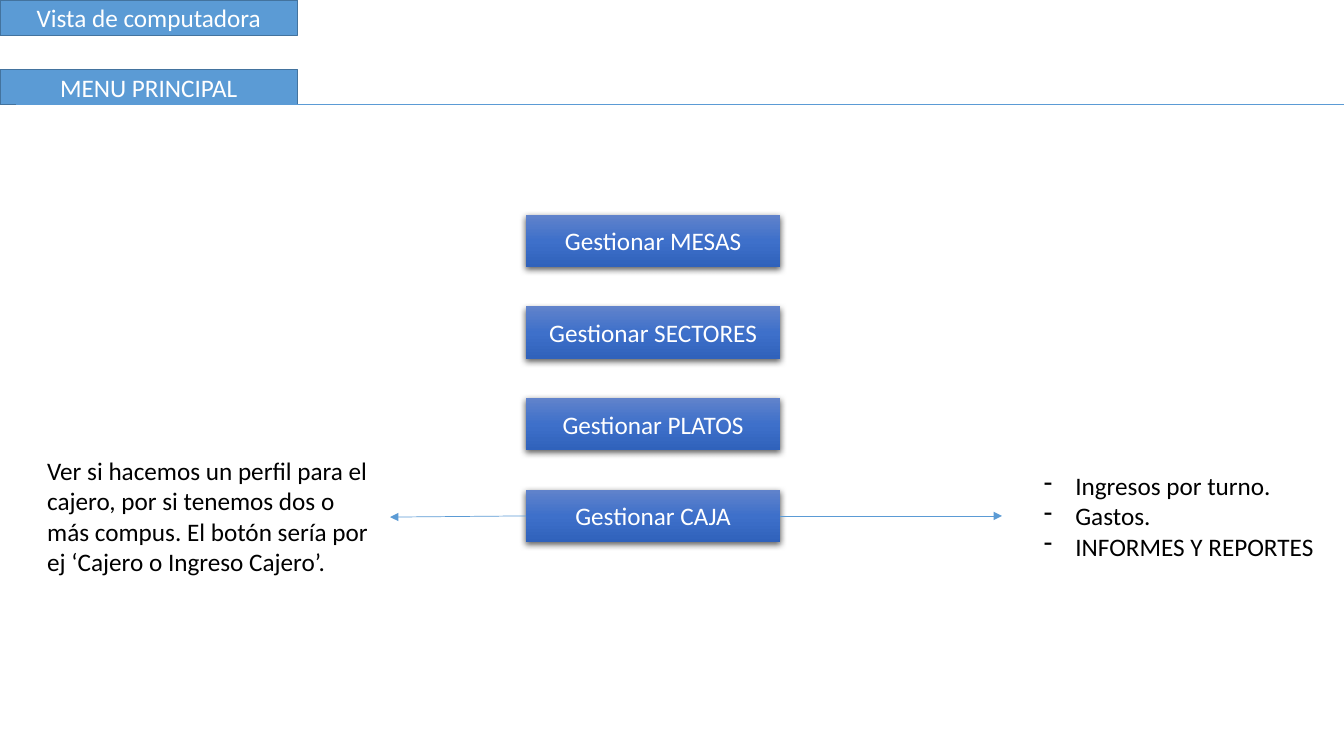
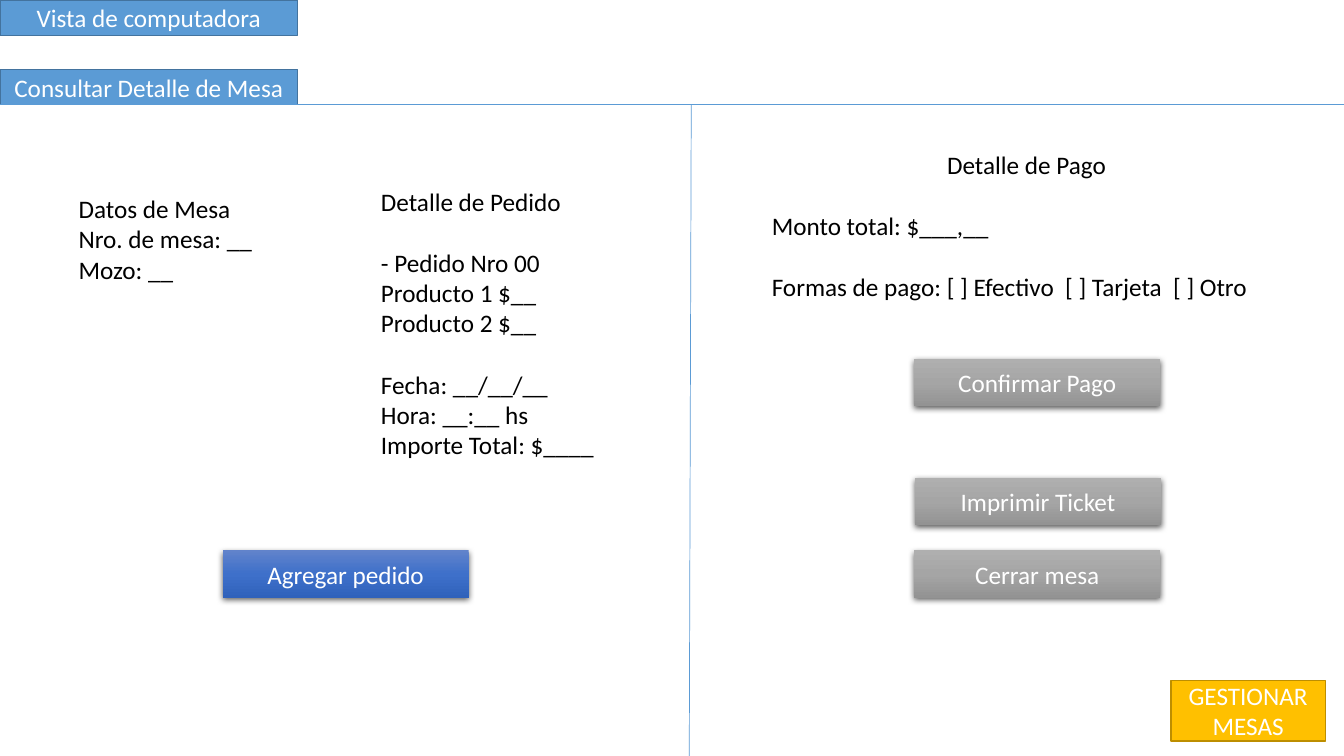
import copy
import dataclasses
import typing

import lxml.etree
import pptx
import pptx.dml.color
import pptx.enum.dml
import pptx.enum.shapes
import pptx.enum.text
import pptx.oxml.ns
import pptx.util

Cm = pptx.util.Cm
Pt = pptx.util.Pt
RGBColor = pptx.dml.color.RGBColor
Align = pptx.enum.text.PP_ALIGN
Fit = pptx.enum.text.MSO_AUTO_SIZE
Anchor = pptx.enum.text.MSO_ANCHOR
qn = pptx.oxml.ns.qn

# Colours
WHITE = RGBColor(0xFF, 0xFF, 0xFF)
BLACK = RGBColor(0x00, 0x00, 0x00)
SKY = RGBColor(0x5B, 0x9B, 0xD5)
STEEL = RGBColor(0x43, 0x73, 0x9E)
GOLD = RGBColor(0xFF, 0xC0, 0x00)
BRONZE = RGBColor(0xBD, 0x8E, 0x00)
BLUES = (RGBColor(0x61, 0x83, 0xCB), RGBColor(0x3E, 0x70, 0xCA), RGBColor(0x30, 0x62, 0xBB))
GRAYS = (RGBColor(0xAF, 0xAF, 0xAF), RGBColor(0xA5, 0xA5, 0xA5), RGBColor(0x93, 0x93, 0x93))

# Shared measures, in centimetres
WIDTH, HEIGHT = 33.87, 19.05
TAB_W, TAB_H = 7.5, 0.89
TITLE_Y = 1.75
RULE_Y = TITLE_Y + TAB_H

# Shared formats
FONT = {"name": "Calibri", "size": Pt(18)}
LABEL = {"vertical_anchor": Anchor.MIDDLE, "word_wrap": True, "auto_size": Fit.NONE}
NOTE = {"word_wrap": True, "auto_size": Fit.SHAPE_TO_FIT_TEXT}
GAP = Pt(22)
INDENT = Cm(0.79)


@dataclasses.dataclass
class Box:
    left: float
    top: float
    width: float
    height: float

    def place(self) -> dict:
        return {key: Cm(size) for key, size in dataclasses.asdict(self).items()}


@dataclasses.dataclass
class Button:
    text: str
    box: Box
    shades: tuple = BLUES


class Para(typing.NamedTuple):
    text: str
    gap: bool = False
    center: bool = False
    bullet: bool = False


def apply(target, values: dict) -> None:
    for key, value in values.items():
        setattr(target, key, value)


def set_font(para, color: RGBColor) -> None:
    apply(para.font, FONT)
    para.font.color.rgb = color


def label(shape, text: str) -> None:
    """White centred text inside a shape."""
    frame = shape.text_frame
    frame.text = text
    apply(frame, LABEL)
    para = frame.paragraphs[0]
    para.alignment = Align.CENTER
    set_font(para, WHITE)


def paint(shape, fill: RGBColor, edge: RGBColor) -> None:
    shape.shadow.inherit = False
    shape.fill.solid()
    shape.fill.fore_color.rgb = fill
    shape.line.color.rgb = edge
    shape.line.width = Pt(1)


def add_rect(slide, box: Box, text: str):
    kind = pptx.enum.shapes.MSO_SHAPE.RECTANGLE
    shape = slide.shapes.add_shape(kind, **box.place())
    label(shape, text)
    return shape


def add_button(slide, button: Button):
    shape = add_rect(slide, button.box, button.text)
    shape.line.fill.background()
    # Three-stop gradient from top to bottom
    shape.fill.gradient()
    shape.fill.gradient_angle = 270
    props = shape._element.spPr
    stops = props.find(".//" + qn("a:gsLst"))
    stops.append(copy.deepcopy(stops[0]))
    for index, (stop, shade) in enumerate(zip(shape.fill.gradient_stops, button.shades)):
        stop.position = index / 2
        stop.color.rgb = shade
    # Soft shadow below
    shape.shadow.inherit = False
    shadow = lxml.etree.SubElement(
        props.find(qn("a:effectLst")), qn("a:outerShdw"), blurRad=str(Pt(4.5)),
        dist=str(Pt(1.5)), dir="5400000", algn="ctr", rotWithShape="0")
    color = lxml.etree.SubElement(shadow, qn("a:srgbClr"), val="000000")
    lxml.etree.SubElement(color, qn("a:alpha"), val="63000")
    return shape


def add_note(slide, box: Box, paras: list[Para]) -> None:
    frame = slide.shapes.add_textbox(**box.place()).text_frame
    apply(frame, NOTE)
    for index, item in enumerate(paras):
        para = frame.add_paragraph() if index else frame.paragraphs[0]
        para.text = item.text
        set_font(para, BLACK)
        if item.gap:
            para.space_before = GAP
        if item.center:
            para.alignment = Align.CENTER
        if item.bullet:
            props = para._p.get_or_add_pPr()
            props.set("marL", str(INDENT))
            props.set("indent", str(-INDENT))
            lxml.etree.SubElement(props, qn("a:buFontTx"))
            lxml.etree.SubElement(props, qn("a:buChar"), char="-")


def add_line(slide, start: tuple, end: tuple, arrow: bool = False):
    kind = pptx.enum.shapes.MSO_CONNECTOR.STRAIGHT
    line = slide.shapes.add_connector(kind, *map(Cm, start + end))
    line.line.color.rgb = SKY
    line.line.width = Pt(0.5)
    if arrow:
        lxml.etree.SubElement(line.line._get_or_add_ln(), qn("a:tailEnd"), type="triangle")
    lxml.etree.SubElement(line._element.spPr, qn("a:effectLst"))
    return line


def add_page(deck, title: str, start: float):
    """Slide with the view tab, the title tab and the rule under it."""
    slide = deck.slides.add_slide(deck.slide_layouts[5])
    head = slide.shapes.title
    apply(head, Box(0, TITLE_Y, TAB_W, TAB_H).place())
    label(head, title)
    paint(head, SKY, STEEL)
    paint(add_rect(slide, Box(0, 0, TAB_W, TAB_H), "Vista de computadora"), SKY, STEEL)
    add_line(slide, (start, RULE_Y), (WIDTH, RULE_Y))
    return slide


def build_menu(deck) -> None:
    slide = add_page(deck, "MENU PRINCIPAL", 0.41)

    # Column of menu buttons
    left, top, width, height, pitch = 13.26, 5.41, 6.4, 1.32, 2.31
    for index, name in enumerate(("MESAS", "SECTORES", "PLATOS", "CAJA")):
        box = Box(left, top + index * pitch, width, height)
        till = add_button(slide, Button(f"Gestionar {name}", box))

    # Arrows from the last button to its notes
    mid = top + 3 * pitch + height / 2
    for side, start, end in ((3, left + width, (25.25, mid)), (1, left, (9.83, 13.03))):
        add_line(slide, (start, mid), end, arrow=True).begin_connect(till, side)

    add_note(slide, Box(26.06, 11.73, 7.32, 2.57), [
        Para(text, bullet=True)
        for text in ("Ingresos por turno.", "Gastos.", "INFORMES Y REPORTES")])
    add_note(slide, Box(0.94, 11.35, 8.89, 3.33), [
        Para("Ver si hacemos un perfil para el cajero, por si tenemos dos o más compus. "
             "El botón sería por ej ‘Cajero o Ingreso Cajero’.")])


def build_table(deck) -> None:
    slide = add_page(deck, "Consultar Detalle de Mesa", 0)
    add_line(slide, (17.42, RULE_Y), (17.37, HEIGHT))

    # Table and order details
    add_note(slide, Box(1.73, 4.75, 6.22, 2.57), [
        Para("Datos de Mesa"), Para("Nro. de mesa: __"), Para("Mozo: __")])
    add_note(slide, Box(9.35, 4.57, 8.59, 7.95), [
        Para("Detalle de Pedido"),
        Para("- Pedido Nro 00", gap=True),
        Para("Producto 1 $__"),
        Para("Producto 2 $__"),
        Para("Fecha: __/__/__", gap=True),
        Para("Hora: __:__ hs"),
        Para("Importe Total: $____")])

    # Payment details
    add_note(slide, Box(19.2, 3.63, 13.34, 4.11), [
        Para("Detalle de Pago", center=True),
        Para("Monto total: $___,__", gap=True),
        Para("Formas de pago: [ ] Efectivo  [ ] Tarjeta  [ ] Otro", gap=True)])

    # Action buttons
    width, height = 6.2, 1.19
    for text, left, top, shades in (
            ("Agregar pedido", 5.61, 13.87, BLUES),
            ("Confirmar Pago", 23.04, 9.04, GRAYS),
            ("Imprimir Ticket", 23.06, 12.04, GRAYS),
            ("Cerrar mesa", 23.04, 13.87, GRAYS)):
        add_button(slide, Button(text, Box(left, top, width, height), shades))
    paint(add_rect(slide, Box(29.51, 17.15, 3.89, 1.52), "GESTIONAR MESAS"), GOLD, BRONZE)


def main() -> None:
    deck = pptx.Presentation()
    apply(deck, {"slide_width": Cm(WIDTH), "slide_height": Cm(HEIGHT)})
    build_menu(deck)
    build_table(deck)
    deck.save("out.pptx")


if __name__ == "__main__":
    main()
